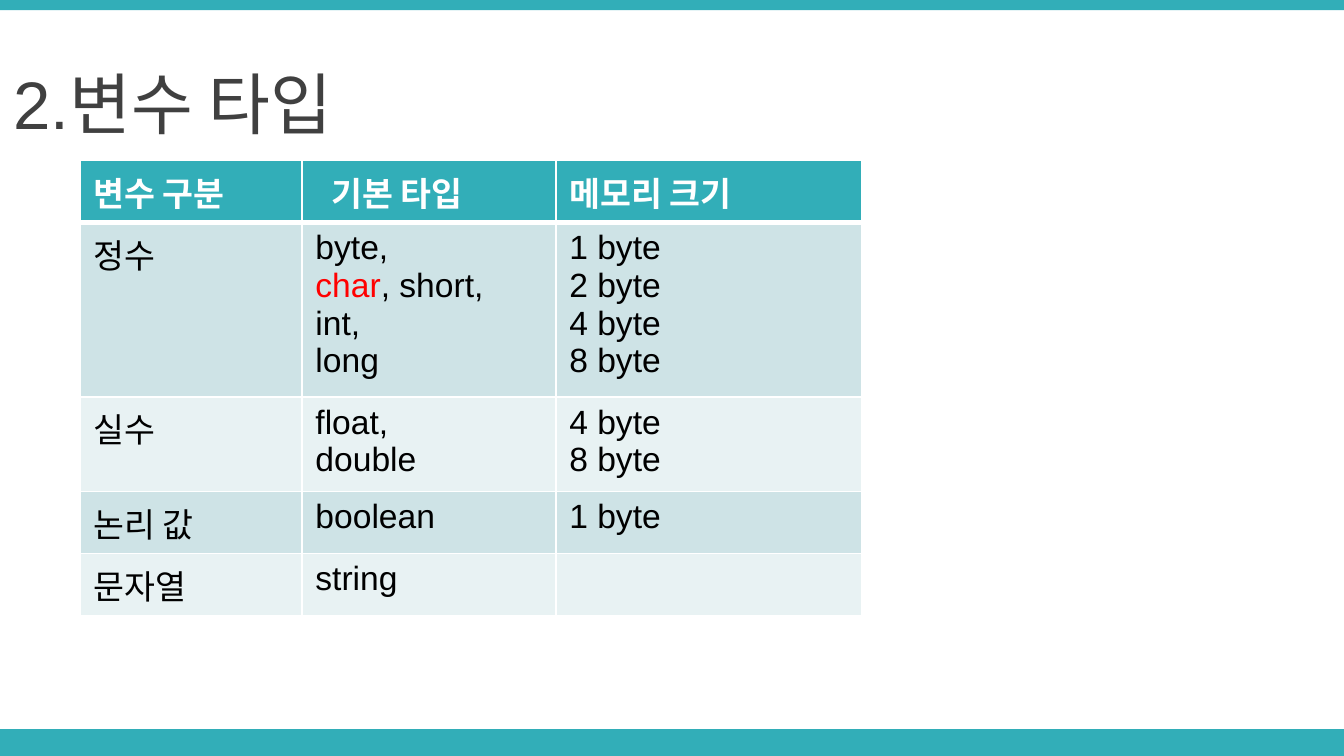
from lxml import etree
from pptx import Presentation
from pptx.dml.color import RGBColor
from pptx.enum import shapes, text
from pptx.oxml import ns
from pptx.util import Pt

TEAL = RGBColor(0x32, 0xAE, 0xB8)
BAND_DARK = RGBColor(0xCE, 0xE3, 0xE6)
BAND_LIGHT = RGBColor(0xE8, 0xF2, 0xF3)
WHITE = RGBColor(0xFF, 0xFF, 0xFF)
BLACK = RGBColor(0, 0, 0)
RED = RGBColor(0xFF, 0, 0)
GRAY = RGBColor(0x40, 0x40, 0x40)
FONT = "Arial"

# Content: each cell is a list of lines
HEADING = "2.변수 타입"
HEADER = [["변수 구분"], ["기본 타입"], ["메모리 크기"]]
TYPES = [
    [["정수"], ["byte,", "char, short,", "int,", "long"],
     ["1 byte", "2 byte", "4 byte", "8 byte"]],
    [["실수"], ["float,", "double"], ["4 byte", "8 byte"]],
    [["논리 값"], ["boolean"], ["1 byte"]],
    [["문자열"], ["string"], []],
]
HIGHLIGHT = "char"

# Layout in points
WIDTH, HEIGHT = 720, 405
TOP_BAR, BOTTOM_BAR = 5.5, 14.4
TABLE_LEFT, TABLE_TOP = 42.8, 86
COLUMNS = [119, 136, 164]
ROWS = [29, 93.5, 50.5, 29, 29]
HEADER_INDENT = 15.7


def add_run(paragraph, words, size, color, bold=False):
    run = paragraph.add_run()
    run.text = words
    run.font.name, run.font.size, run.font.bold = FONT, Pt(size), bold
    run.font.color.rgb = color


def add_bar(slide, top, height):
    bar = slide.shapes.add_shape(shapes.MSO_SHAPE.RECTANGLE,
                                 0, Pt(top), Pt(WIDTH), Pt(height))
    bar.shadow.inherit = False
    bar.fill.solid()
    bar.fill.fore_color.rgb = TEAL
    bar.line.fill.background()


def set_borders(cell, top, bottom):
    properties = cell._tc.get_or_add_tcPr()
    widths = {"lnL": 1, "lnR": 1, "lnT": top, "lnB": bottom}
    for place, (side, width) in enumerate(widths.items()):
        line = etree.Element(ns.qn(f"a:{side}"), w=str(Pt(width)))
        fill = etree.SubElement(line, ns.qn("a:solidFill"))
        etree.SubElement(fill, ns.qn("a:srgbClr"), val=str(WHITE))
        properties.insert(place, line)


def fill_cell(cell, lines, color, bold):
    frame = cell.text_frame
    for i, line in enumerate(lines):
        paragraph = frame.add_paragraph() if i else frame.paragraphs[0]
        if line.startswith(HIGHLIGHT):
            add_run(paragraph, HIGHLIGHT, 18, RED, bold)
            line = line[len(HIGHLIGHT):]
        add_run(paragraph, line, 18, color, bold)


def main():
    deck = Presentation()
    deck.slide_width, deck.slide_height = Pt(WIDTH), Pt(HEIGHT)
    slide = deck.slides.add_slide(deck.slide_layouts[5])

    # Bars at the slide's edges
    add_bar(slide, HEIGHT - BOTTOM_BAR, BOTTOM_BAR)
    add_bar(slide, 0, TOP_BAR)

    # Heading
    heading = slide.shapes.title
    heading.left, heading.top = Pt(0), Pt(32.4)
    heading.width, heading.height = Pt(WIDTH), Pt(45.4)
    heading.text_frame.vertical_anchor = text.MSO_ANCHOR.MIDDLE
    paragraph = heading.text_frame.paragraphs[0]
    paragraph.alignment = text.PP_ALIGN.LEFT
    add_run(paragraph, HEADING, 36, GRAY)

    # Table of variable types
    table = slide.shapes.add_table(
        len(ROWS), len(COLUMNS), Pt(TABLE_LEFT), Pt(TABLE_TOP),
        Pt(sum(COLUMNS)), Pt(sum(ROWS))).table
    for column, width in zip(table.columns, COLUMNS):
        column.width = Pt(width)
    for r, (height, row) in enumerate(zip(ROWS, [HEADER] + TYPES)):
        table.rows[r].height = Pt(height)
        is_header = r == 0
        band = TEAL if is_header else BAND_DARK if r % 2 else BAND_LIGHT
        for c, lines in enumerate(row):
            cell = table.cell(r, c)
            cell.fill.solid()
            cell.fill.fore_color.rgb = band
            set_borders(cell, 3 if r == 1 else 1, 3 if is_header else 1)
            fill_cell(cell, lines, WHITE if is_header else BLACK, is_header)
    table.cell(0, 1).margin_left = Pt(HEADER_INDENT)

    deck.save("out.pptx")


if __name__ == "__main__":
    main()
